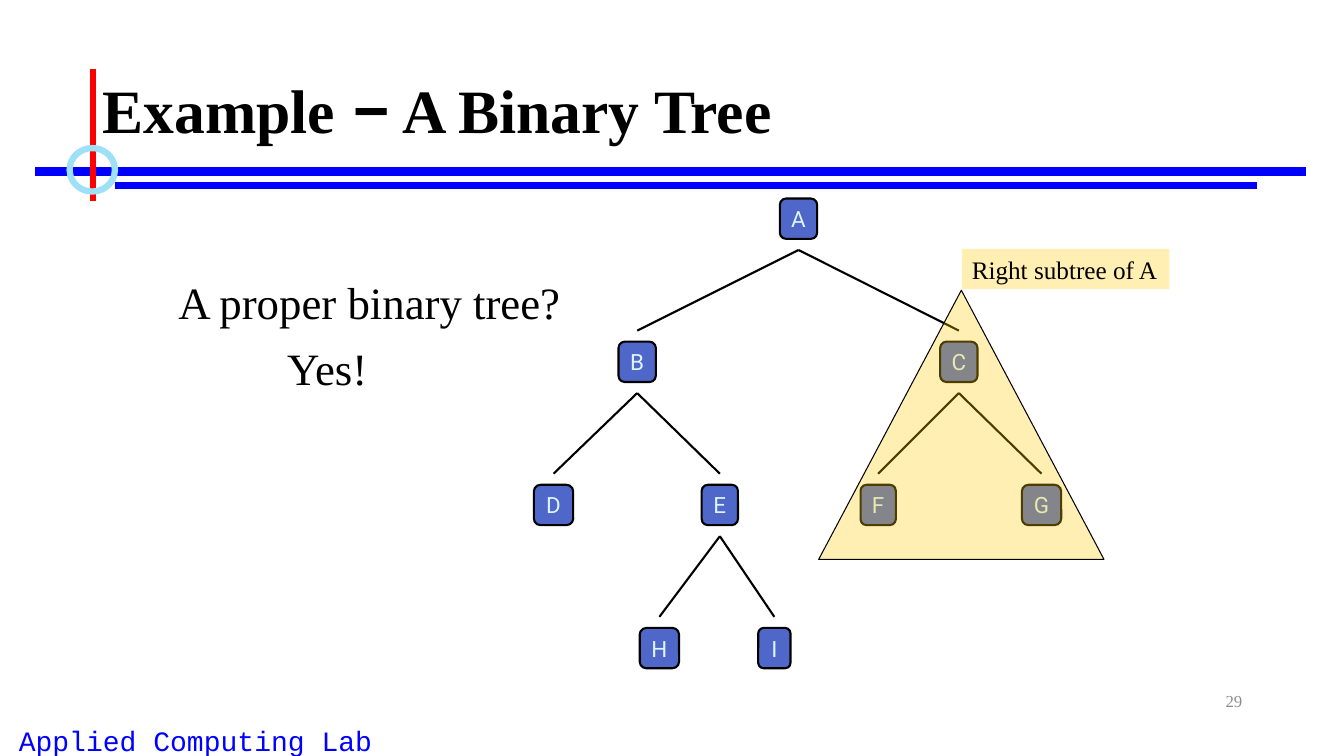
from lxml.etree import SubElement
from pptx import Presentation
from pptx.dml.color import RGBColor
from pptx.enum.shapes import MSO_CONNECTOR as Connector, MSO_SHAPE as Shape
from pptx.enum.text import MSO_ANCHOR as Anchor, PP_ALIGN as Align
from pptx.oxml.ns import qn
from pptx.util import Inches, Pt

COLORS = {
    "ink": "000000",
    "rule": "0000FF",
    "accent": "FF0000",
    "ring": "9EE0F8",
    "node": "4E67C8",
    "node_text": "DFF5FD",
    "highlight": "FFCC00",
    "page_number": "8C8C8C",
}
SERIF, SANS, MONO = "Times New Roman", "Roboto", "Courier New"

RULES = [
    ((0.35, 1.7), (12.95, 1.7), "rule", 6),
    ((1.14, 1.84), (12.47, 1.84), "rule", 4.5),
    ((0.92, 0.68), (0.92, 1.99), "accent", 4.5),
]
TITLE = [("Example ", SERIF), ("–", SANS), (" A Binary Tree", SERIF)]
TEXTS = [
    ((-0.58, 7.13, 5.04, 0.43), "Applied Computing Lab",
     dict(font=MONO, size=20, color="rule", align=Align.CENTER)),
    ((9.42, 6.75, 3, 0.4), "29",
     dict(size=12, color="page_number", align=Align.RIGHT, anchor=Anchor.MIDDLE)),
    ((0.92, 0.4, 11.5, 1.45), TITLE,
     dict(size=44, bold=True, anchor=Anchor.MIDDLE, line_spacing=0.9, wrap=True)),
    ((1.67, 2.68, 4.03, 0.64), "A proper binary tree?", dict(size=32)),
    ((2.75, 3.33, 1.04, 0.63), "Yes!", dict(size=32)),
]
NODES = {
    "A": (7.92, 0, 0.37),
    "B": (6.32, 1, 0.37),
    "C": (9.51, 1, 0.37),
    "D": (5.49, 2, 0.39),
    "E": (7.14, 2, 0.36),
    "F": (8.71, 2, 0.35),
    "G": (10.33, 2, 0.39),
    "H": (6.54, 3, 0.39),
    "I": (7.68, 3, 0.32),
}
CHILDREN = {"A": "BC", "B": "DE", "C": "FG", "E": "HI"}
TREE_TOP, LEVEL_STEP, NODE_HEIGHT, EDGE_GAP = 1.97, 1.42, 0.4, 0.11

presentation = Presentation()
presentation.slide_width = Inches(13.33)
presentation.slide_height = Inches(7.5)
slide = presentation.slides.add_slide(presentation.slide_layouts[6])


def rgb(name):
    return RGBColor.from_string(COLORS[name])


def write(shape, text, font=SERIF, size=18, color="ink", bold=False, align=Align.LEFT,
          anchor=Anchor.TOP, line_spacing=None, wrap=False):
    frame = shape.text_frame
    frame.word_wrap = wrap
    frame.vertical_anchor = anchor
    paragraph = frame.paragraphs[0]
    paragraph.alignment = align
    paragraph.line_spacing = line_spacing
    for part, part_font in [(text, font)] if isinstance(text, str) else text:
        run = paragraph.add_run()
        run.text = part
        run.font.name = part_font
        run.font.size = Pt(size)
        run.font.bold = bold
        run.font.color.rgb = rgb(color)


def add_line(start, end, color="ink", width=1.5):
    points = [Inches(value) for value in (*start, *end)]
    line = slide.shapes.add_connector(Connector.STRAIGHT, *points)
    line.line.color.rgb = rgb(color)
    line.line.width = Pt(width)
    SubElement(line._element.spPr, qn("a:effectLst"))


def add_figure(kind, box, fill=None, alpha=None, line=None, width=1.5):
    shape = slide.shapes.add_shape(kind, *map(Inches, box))
    shape.shadow.inherit = False
    if fill:
        shape.fill.solid()
        shape.fill.fore_color.rgb = rgb(fill)
    else:
        shape.fill.background()
    if alpha:
        color = shape._element.spPr.find(qn("a:solidFill")).find(qn("a:srgbClr"))
        SubElement(color, qn("a:alpha"), val=str(alpha * 1000))
    if line:
        shape.line.color.rgb = rgb(line)
        shape.line.width = Pt(width)
    else:
        shape.line.fill.background()
    return shape


def node_top(letter):
    return TREE_TOP + NODES[letter][1] * LEVEL_STEP


for rule in RULES:
    add_line(*rule)
add_figure(Shape.OVAL, (0.69, 1.47, 0.45, 0.43), line="ring", width=4.5)

for box, text, style in TEXTS:
    write(slide.shapes.add_textbox(*map(Inches, box)), text, **style)

for letter, (center, level, width) in NODES.items():
    box = (center - width / 2, node_top(letter), width, NODE_HEIGHT)
    node = add_figure(Shape.ROUNDED_RECTANGLE, box, fill="node", line="ink")
    write(node, letter, font=SANS, size=16, color="node_text",
          align=Align.CENTER, anchor=Anchor.MIDDLE)

for parent, children in CHILDREN.items():
    start = (NODES[parent][0], node_top(parent) + NODE_HEIGHT + EDGE_GAP)
    for child in children:
        add_line(start, (NODES[child][0], node_top(child) - EDGE_GAP))

add_figure(Shape.ISOSCELES_TRIANGLE, (8.12, 2.88, 2.83, 2.67),
           fill="highlight", alpha=30, line="ink", width=0.75)
label = add_figure(Shape.RECTANGLE, (9.54, 2.47, 2.06, 0.4), fill="highlight", alpha=30)
write(label, "Right subtree of A")

presentation.save("out.pptx")
